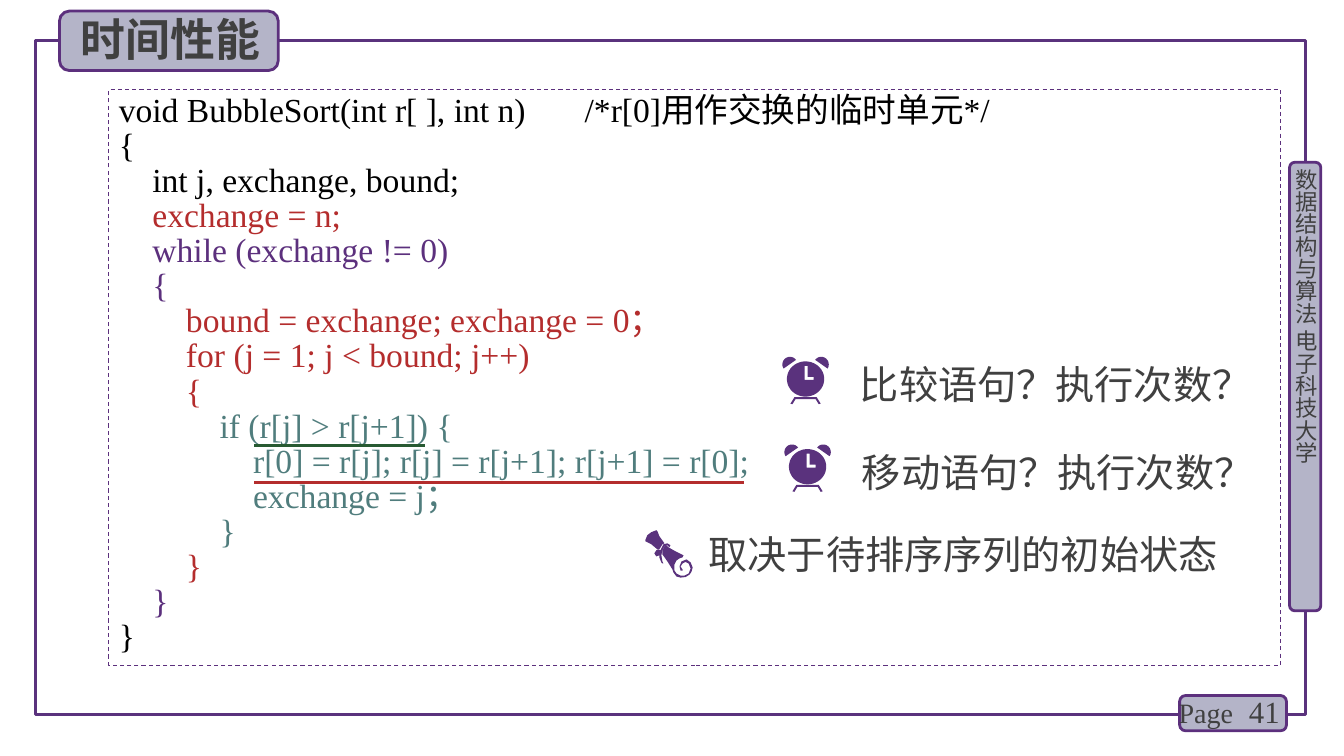
from math import cos, radians, sin

from lxml.etree import SubElement
from pptx import Presentation
from pptx.dml.color import RGBColor
from pptx.enum.dml import MSO_LINE_DASH_STYLE as DASH
from pptx.enum.shapes import MSO_CONNECTOR as CONN, MSO_SHAPE as SHAPE
from pptx.enum.text import MSO_ANCHOR as ANCHOR, MSO_AUTO_SIZE as AUTO, PP_ALIGN as ALIGN
from pptx.oxml.ns import qn
from pptx.util import Inches, Pt

GRID = Inches(0.1)
FINE = 100
SERIF, SANS = "Times New Roman", "Noto Sans CJK SC"
INK, VIOLET, ICON, LILAC = "404040", "5C307D", "5A327D", "B4B4C8"
RED, TEAL, GREEN, BLACK = "B42D2D", "507D7D", "285A32", "000000"

CODE = [
    (0, "void BubbleSort(int r[ ], int n)\t/*r[0]用作交换的临时单元*/", BLACK),
    (0, "{", BLACK),
    (1, "int j, exchange, bound;", BLACK),
    (1, "exchange = n;", RED),
    (1, "while (exchange != 0)", VIOLET),
    (1, "{", VIOLET),
    (2, "bound = exchange; exchange = 0；", RED),
    (2, "for (j = 1; j < bound; j++)", RED),
    (2, "{", RED),
    (3, "if (r[j] > r[j+1]) {", TEAL),
    (4, "r[0] = r[j]; r[j] = r[j+1]; r[j+1] = r[0];", TEAL),
    (4, "exchange = j；", TEAL),
    (3, "}", TEAL),
    (2, "}", RED),
    (1, "}", VIOLET),
    (0, "}", BLACK),
]

HAND = [(-.1, -1.3), (.2, -1.3), (.2, -.2), (.8, -.2), (.8, .1), (-.1, .1)]
STAND = [(-1.5, 2.45), (-1.1, 1.8), (1.1, 1.8), (1.5, 2.45),
         (1.3, 2.5), (1, 2), (-1, 2), (-1.3, 2.5)]

SCROLL_TOP = [(65.4, 54.5), (65.7, 54), (65.9, 53.9), (65.4, 53.2), (65.2, 52.7),
              (65.1, 52.6), (64.6, 52.8), (64.2, 53.1), (64, 53.6), (64, 53.7),
              (64.6, 54), (65.2, 54.5)]
SCROLL_BODY = [(68.5, 55.8), (68.1, 55.5), (67.6, 55.7), (67.4, 56.2), (67.5, 56.6),
               (67.7, 56.6), (67.7, 56.5), (67.5, 56.2), (67.7, 55.9), (68, 55.75),
               (68.3, 55.9), (68.5, 56.4), (68.3, 56.9), (67.9, 57.1), (67.5, 57.1),
               (67.1, 56.9), (66.9, 56.6), (66.9, 56), (67.1, 55.6), (67.4, 55.4),
               (67.7, 55.3), (67.8, 55.1), (67, 54.7), (66.3, 54.3), (66.1, 54.1),
               (65.9, 54.2), (65.7, 54.6), (65.7, 55), (66.2, 55.7), (66.7, 56.5),
               (66.8, 56.8), (67.1, 57.2), (67.5, 57.3), (68, 57.25), (68.4, 57),
               (68.6, 56.7), (68.7, 56.3)]
RIBBON = [(65.7, 55.9), (65.6, 55.8), (65.4, 55.3), (65.4, 55.1), (65.1, 55.2),
          (64.9, 54.9), (65.1, 54.6), (65.3, 54.5), (65.5, 54.6), (65.8, 54),
          (66.2, 53.9), (66.5, 54.1), (66.4, 54.3), (66.2, 54.1), (65.9, 54.2),
          (65.7, 54.6), (65.6, 55.1), (65.7, 55.7), (65.8, 55.9)]


def rgb(hex_text):
    return RGBColor.from_string(hex_text)


def place(sp, box):
    sp.left, sp.top, sp.width, sp.height = (int(v * GRID) for v in box)


def panel(s, kind, box, line, width, fill=None, dash=None):
    sp = s.shapes.add_shape(kind, *(int(v * GRID) for v in box))
    sp.shadow.inherit = False
    sp.line.color.rgb = rgb(line)
    sp.line.width = Pt(width)
    if dash:
        sp.line.dash_style = dash
    if fill:
        sp.fill.solid()
        sp.fill.fore_color.rgb = rgb(fill)
    else:
        sp.fill.background()
    return sp


def badge(s, box):
    return panel(s, SHAPE.ROUNDED_RECTANGLE, box, VIOLET, 2, LILAC)


def frame(tf, anchor=ANCHOR.TOP, **fmt):
    settings = {"word_wrap": True, "auto_size": AUTO.NONE, "vertical_anchor": anchor,
                "margin_left": Inches(.1), "margin_right": Inches(.1),
                "margin_top": Inches(.05), "margin_bottom": Inches(.05)}
    for name, value in {**settings, **fmt}.items():
        setattr(tf, name, value)


def write(p, content, size, face, color, bold=False, **layout):
    for name, value in {"alignment": ALIGN.LEFT, **layout}.items():
        setattr(p, name, value)
    r = p.add_run()
    r.text = content
    for name, value in {"name": face, "size": Pt(size), "bold": bold}.items():
        setattr(r.font, name, value)
    r.font.color.rgb = rgb(color)
    SubElement(r.font._element, qn("a:ea")).set("typeface", SANS)


def label(s, box, content, size, face, anchor=ANCHOR.TOP, **layout):
    sp = s.shapes.add_textbox(0, 0, 0, 0)
    place(sp, box)
    frame(sp.text_frame, anchor)
    write(sp.text_frame.paragraphs[0], content, size, face, INK, **layout)
    return sp


def title(s, box, content):
    sp = s.shapes.title
    sp._element.getparent().append(sp._element)
    place(sp, box)
    frame(sp.text_frame)
    write(sp.text_frame.paragraphs[0], content, 32, SANS, INK, True, line_spacing=1.0)


def side_label(s, box, content):
    tf = label(s, box, content, 16, SANS).text_frame
    frame(tf, margin_left=0, margin_right=0, margin_top=0, margin_bottom=0)
    tf._txBody.bodyPr.set("vert", "eaVert")


def code_box(s, box):
    tf = panel(s, SHAPE.RECTANGLE, box, VIOLET, .75, dash=DASH.DASH).text_frame
    frame(tf)
    for i, (level, content, color) in enumerate(CODE):
        p = tf.add_paragraph() if i else tf.paragraphs[0]
        if "\t" in content:
            tabs = SubElement(p._p.get_or_add_pPr(), qn("a:tabLst"))
            tab = SubElement(tabs, qn("a:tab"))
            tab.set("pos", str(int(46.2 * GRID)))
            tab.set("algn", "l")
        write(p, "    " * level + content, 24, SERIF, color, line_spacing=Pt(25))


def underline(s, left, right, y, color):
    ln = s.shapes.add_connector(CONN.STRAIGHT, *(int(v * GRID) for v in (left, y, right, y)))
    ln.line.color.rgb = rgb(color)
    ln.line.width = Pt(2.25)
    SubElement(ln._element.spPr, qn("a:effectLst"))


def outline(s, *contours):
    scaled = [[(x * FINE, y * FINE) for x, y in c] for c in contours]
    fb = s.shapes.build_freeform(*scaled[0][0], scale=GRID / FINE)
    for i, points in enumerate(scaled):
        if i:
            fb.move_to(*points[0])
        fb.add_line_segments(points[1:], close=True)
    sp = fb.convert_to_shape()
    sp.shadow.inherit = False
    sp.fill.solid()
    sp.fill.fore_color.rgb = rgb(ICON)
    sp.line.fill.background()


def arc(cx, cy, rx, ry, start, end):
    return [(cx + rx * cos(radians(a)), cy + ry * sin(radians(a)))
            for a in range(start, end, 8)]


def clock(s, cx, cy):
    def shift(points):
        return [(cx + x, cy + y) for x, y in points]

    ear = arc(-1.55, -1.45, .75, .75, 147, 325)
    outline(s, shift(STAND))
    outline(s, shift(ear))
    outline(s, shift([(-x, y) for x, y in ear]))
    outline(s, shift(arc(0, 0, 1.85, 1.75, 0, 360)), shift(HAND))


def note(s, box, content):
    label(s, box, content, 28, SANS, line_spacing=1.3)


def main():
    prs = Presentation()
    prs.slide_width, prs.slide_height = Inches(13.33), Inches(7.5)
    s = prs.slides.add_slide(prs.slide_layouts[5])

    panel(s, SHAPE.RECTANGLE, (3.5, 4, 126, 66.9), ICON, 2.25)
    badge(s, (127.9, 16.1, 3.1, 44.5))
    side_label(s, (128.2, 16.7, 2.7, 44.9), "数据结构与算法 电子科技大学")
    badge(s, (117, 69, 10.6, 3.5))
    label(s, (118.7, 68.6, 9.2, 4), "41", 22, SERIF, ANCHOR.MIDDLE, alignment=ALIGN.RIGHT)
    label(s, (115.9, 68.5, 12.8, 4.4), "Page", 20, SERIF)
    badge(s, (5.9, 1.1, 21.7, 5.9))
    title(s, (7, .7, 21, 6.4), "时间性能")

    code_box(s, (10.8, 8.9, 116.2, 57.1))
    underline(s, 25.2, 42.2, 44.2, GREEN)
    underline(s, 25.2, 73.8, 47.9, RED)

    clock(s, 79.9, 37.6)
    note(s, (84.3, 33.9, 42.5, 7.1), "比较语句？执行次数？")
    clock(s, 80.1, 46.3)
    note(s, (84.5, 42.6, 42.5, 7.1), "移动语句？执行次数？")
    for part in (SCROLL_TOP, SCROLL_BODY, RIBBON):
        outline(s, part)
    note(s, (69.3, 50.7, 55.4, 7.1), "取决于待排序序列的初始状态")

    prs.save("out.pptx")


if __name__ == "__main__":
    main()
